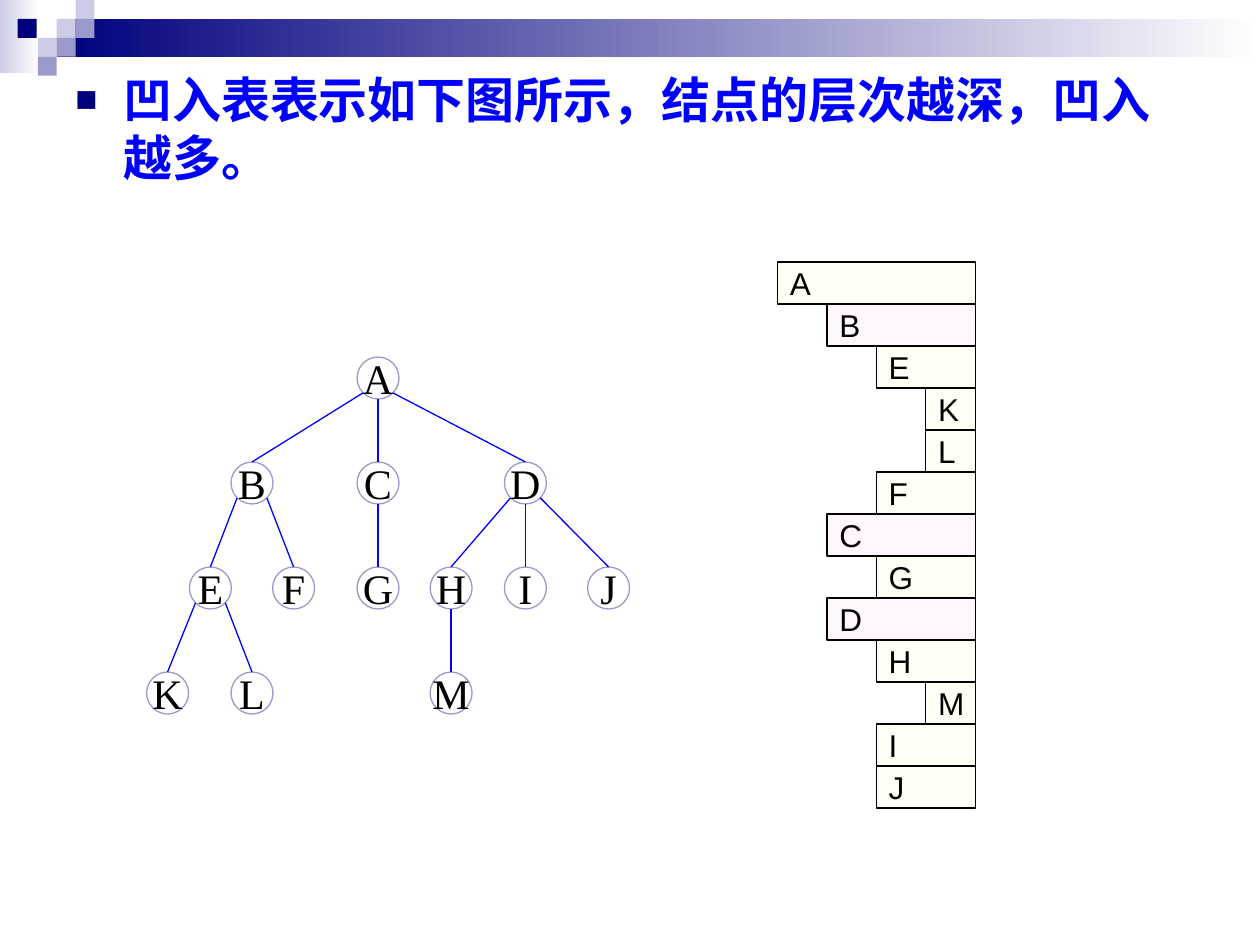
"""Build a slide that shows a tree beside its indented-list form."""
import dataclasses

import lxml.etree
import pptx
import pptx.dml.color
import pptx.enum.shapes
import pptx.enum.text
import pptx.oxml.ns
import pptx.util

Inches = pptx.util.Inches
Kind = pptx.enum.shapes.MSO_SHAPE
Align = pptx.enum.text.PP_ALIGN
Anchor = pptx.enum.text.MSO_ANCHOR


@dataclasses.dataclass(frozen=True)
class Theme:
    navy: str = "00007D"
    mid: str = "9999CC"
    pale: str = "CCCCE6"
    white: str = "FFFFFF"
    black: str = "000000"
    blue: str = "0000FF"
    cream: str = "FFFFF5"
    pink: str = "FFF5FF"
    sans: str = "Arial"
    serif: str = "Times New Roman"
    head: float = 28
    node: float = 24
    row: float = 18
    line: float = 0.75


THEME = Theme()
TITLE = "凹入表表示如下图所示，结点的层次越深，凹入越多。"
TREE = [
    ("A", 0, 3), ("B", 1, 2), ("E", 2, 1.67), ("K", 3, 1.33), ("L", 3, 2),
    ("F", 2, 2.33), ("C", 1, 3), ("G", 2, 3), ("D", 1, 4.17),
    ("H", 2, 3.58), ("M", 3, 3.58), ("I", 2, 4.17), ("J", 2, 4.83),
]
TILES = [
    (0.45, 0.15, THEME.pale), (0.6, 0, THEME.pale), (0.6, 0.15, THEME.mid),
    (0.3, 0.3, THEME.pale), (0.14, 0.15, THEME.navy),
    (0.45, 0.3, THEME.mid), (0.3, 0.45, THEME.mid),
]
SIZE = 1 / 3
DIAG = SIZE / 2 * 0.5 ** 0.5


def color(code):
    return pptx.dml.color.RGBColor.from_string(code)


def add_run(para, text, face, size, code, bold=False):
    run = para.add_run()
    run.text = text
    run.font.name = face
    run.font.size = pptx.util.Pt(size)
    run.font.bold = bold
    run.font.color.rgb = color(code)


def add_box(slide, kind, left, top, width, height, fill, edge=None):
    box = slide.shapes.add_shape(
        kind, Inches(left), Inches(top), Inches(width), Inches(height))
    box.shadow.inherit = False
    box.fill.solid()
    box.fill.fore_color.rgb = color(fill)
    if edge:
        box.line.color.rgb = color(edge)
        box.line.width = pptx.util.Pt(THEME.line)
    else:
        box.line.fill.background()
    return box


def add_fade(slide, left, top, width, height, code):
    box = add_box(slide, Kind.RECTANGLE, left, top, width, height, code)
    box.fill.gradient()
    box.fill.gradient_angle = 0
    for stop, tone, place in zip(
            box.fill.gradient_stops, (code, THEME.white), (0, 1)):
        stop.color.rgb = color(tone)
        stop.position = place


def add_label(box, text, face, size, align):
    frame = box.text_frame
    frame.word_wrap = False
    frame.vertical_anchor = Anchor.MIDDLE
    para = frame.paragraphs[0]
    para.alignment = align
    add_run(para, text, face, size, THEME.black)


def add_bullet(para):
    props = para._p.get_or_add_pPr()
    props.set("marL", str(Inches(0.38)))
    props.set("indent", str(Inches(-0.38)))
    name = pptx.oxml.ns.qn
    tint = lxml.etree.SubElement(props, name("a:buClr"))
    lxml.etree.SubElement(tint, name("a:srgbClr"), val=THEME.navy)
    lxml.etree.SubElement(props, name("a:buSzPct"), val="75000")
    lxml.etree.SubElement(props, name("a:buFont"), typeface=THEME.sans)
    lxml.etree.SubElement(props, name("a:buChar"), char="■")


def add_title(slide):
    box = slide.shapes.add_textbox(
        Inches(0.5), Inches(0.5), Inches(9), Inches(6.67))
    box.text_frame.word_wrap = True
    para = box.text_frame.paragraphs[0]
    add_bullet(para)
    add_run(para, TITLE, THEME.sans, THEME.head, THEME.blue, True)


def add_node(slide, name, x, y):
    node = add_box(slide, Kind.OVAL, x - SIZE / 2, y - SIZE / 2,
                   SIZE, SIZE, THEME.white, THEME.mid)
    add_label(node, name, THEME.serif, THEME.node, Align.CENTER)
    return node


def add_edge(slide, start, child, x, y):
    px, py = start
    if x == px:
        py += SIZE / 2
    else:
        px += DIAG if x > px else -DIAG
        py += DIAG
    edge = slide.shapes.add_connector(
        pptx.enum.shapes.MSO_CONNECTOR.STRAIGHT,
        Inches(px), Inches(py), Inches(x), Inches(y - SIZE / 2))
    edge.end_connect(child, 0)
    edge.line.color.rgb = color(THEME.blue)
    edge.line.width = pptx.util.Pt(THEME.line)
    lxml.etree.SubElement(
        edge._element.spPr, pptx.oxml.ns.qn("a:effectLst"))


def add_tree(slide):
    spots = {}
    for name, level, x in TREE:
        y = 3 + level * SIZE * 2.5
        node = add_node(slide, name, x, y)
        if level:
            add_edge(slide, spots[level - 1], node, x, y)
        spots[level] = (x, y)


def add_list(slide):
    right, full = 7.74, 1.57
    for row, (name, level, _) in enumerate(TREE):
        width = full * (4 - level) / 4
        fill = THEME.pink if level == 1 else THEME.cream
        bar = add_box(slide, Kind.RECTANGLE, right - width,
                      2.08 + row * SIZE, width, SIZE, fill, THEME.black)
        add_label(bar, name, THEME.sans, THEME.row, Align.LEFT)


def add_band(slide):
    add_fade(slide, 0, 0, 0.31, 0.58, THEME.pale)
    add_fade(slide, 0.45, 0.15, 9.55, 0.3, THEME.navy)
    for left, top, code in TILES:
        add_box(slide, Kind.RECTANGLE, left, top, 0.15, 0.15, code)


def main():
    deck = pptx.Presentation()
    deck.slide_width = Inches(10)
    deck.slide_height = Inches(7.5)
    slide = deck.slides.add_slide(deck.slide_layouts[6])
    add_band(slide)
    add_title(slide)
    add_list(slide)
    add_tree(slide)
    deck.save("out.pptx")


if __name__ == "__main__":
    main()
